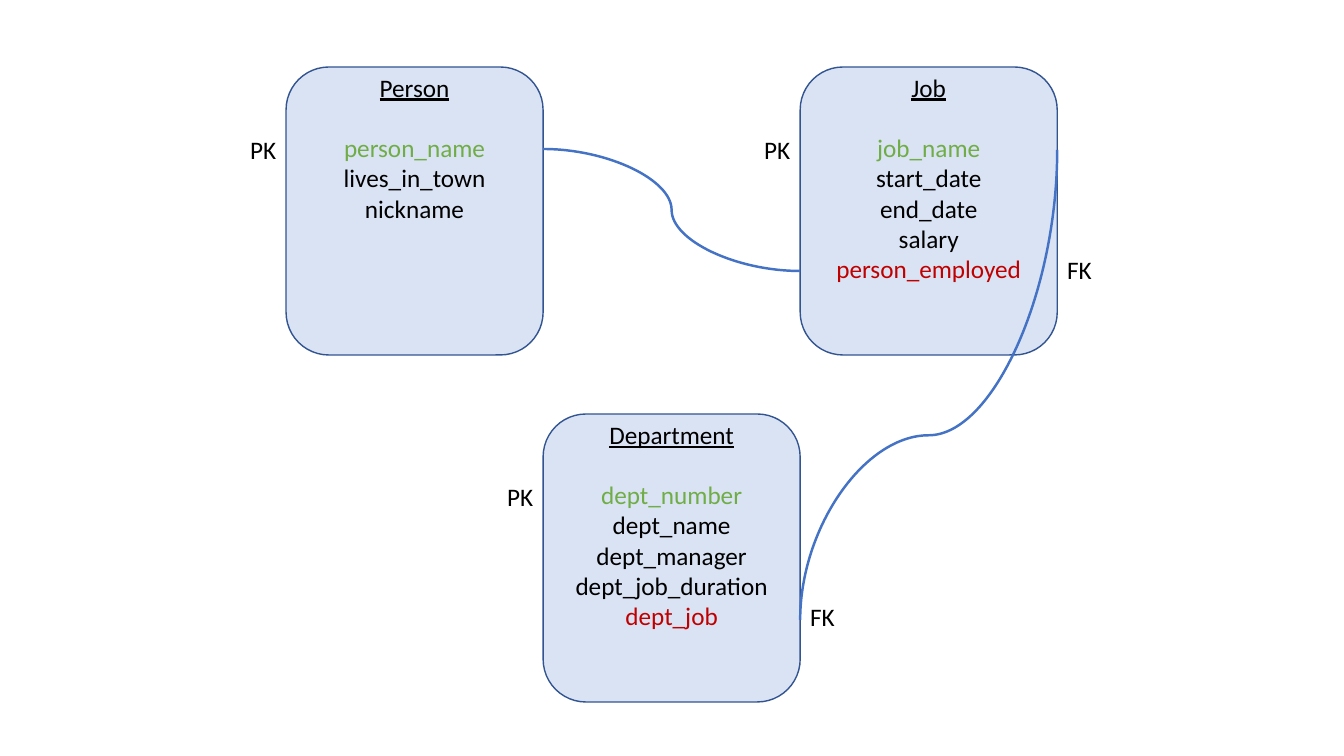
from lxml import etree
from pptx import Presentation
from pptx.dml.color import RGBColor
from pptx.enum.shapes import MSO_CONNECTOR, MSO_SHAPE
from pptx.enum.text import MSO_AUTO_SIZE, PP_ALIGN
from pptx.oxml.ns import qn
from pptx.util import Inches, Pt

ROUND = MSO_SHAPE.ROUNDED_RECTANGLE
CURVE = MSO_CONNECTOR.CURVE
FIT = MSO_AUTO_SIZE.SHAPE_TO_FIT_TEXT
CENTER = PP_ALIGN.CENTER
LEFT = PP_ALIGN.LEFT

SCALE = Inches(1) / 100.8
WIDE, HIGH = 257, 288
INSET = 10
TAG_WIDE, TAG_HIGH = 46, 40
PK_DROP, FK_DROP = 62, 182

BLACK, GREEN, RED = "000000", "70AD47", "C00000"
PALE, EDGE, BLUE = "DAE3F3", "325491", "4472C4"

CARDS = [
    (286, 67, 224, "Person", "person_name", ["lives_in_town", "nickname"], None),
    (543, 414, 254, "Department", "dept_number",
     ["dept_name", "dept_manager", "dept_job_duration"], "dept_job"),
    (800, 67, 285, "Job", "job_name",
     ["start_date", "end_date", "salary"], "person_employed"),
]


def px(*values):
    return [round(value * SCALE) for value in values]


def color(code):
    return RGBColor.from_string(code)


def add_text(slide, area, rows, align, wrap):
    frame = slide.shapes.add_textbox(*px(*area)).text_frame
    frame.text = "\n".join(text for text, tint in rows)
    frame.word_wrap = wrap
    frame.auto_size = FIT
    for line, (text, tint) in zip(frame.paragraphs, rows):
        line.alignment = align
        font = line.runs[0].font
        font.name = "Calibri"
        font.size = Pt(18)
        font.color.rgb = color(tint)
    return frame


def add_tag(slide, left, top, text):
    area = (left, top, TAG_WIDE, TAG_HIGH)
    add_text(slide, area, [(text, BLACK)], LEFT, False)


def add_card(slide, left, top, high, title, key, fields, link):
    box = slide.shapes.add_shape(ROUND, *px(left, top, WIDE, HIGH))
    box.shadow.inherit = False
    box.fill.solid()
    box.fill.fore_color.rgb = color(PALE)
    box.line.color.rgb = color(EDGE)
    box.line.width = Pt(1)

    rows = [(title, BLACK), (key, GREEN)]
    rows += [(field, BLACK) for field in fields]
    if link:
        rows.append((link, RED))
    area = (left + INSET, top, WIDE - 2 * INSET, high)
    head = add_text(slide, area, rows, CENTER, True).paragraphs[0]
    head.runs[0].font.underline = True
    head.space_after = Pt(21.6)

    add_tag(slide, left - TAG_WIDE, top + PK_DROP, "PK")
    if link:
        add_tag(slide, left + WIDE, top + FK_DROP, "FK")


def add_curve(slide, start, end):
    curve = slide.shapes.add_connector(CURVE, *px(*start, *end))
    curve.line.color.rgb = color(BLUE)
    curve.line.width = Pt(1.75)
    etree.SubElement(curve._element.spPr, qn("a:effectLst"))
    return curve


def add_rise(slide, start, end, bend):
    mid_x, mid_y = (start[0] + end[0]) / 2, (start[1] + end[1]) / 2
    half_x, half_y = (end[0] - start[0]) / 2, (start[1] - end[1]) / 2
    curve = add_curve(slide, (mid_x + half_y, mid_y + half_x),
                      (mid_x - half_y, mid_y - half_x))
    shape = curve._element.spPr
    shape.find(qn("a:xfrm")).set("rot", str(90 * 60000))
    guides = shape.find(qn("a:prstGeom")).find(qn("a:avLst"))
    etree.SubElement(guides, qn("a:gd"), name="adj1", fmla=f"val {bend}")


def main():
    deck = Presentation()
    deck.slide_width = Inches(13.33)
    deck.slide_height = Inches(7.5)
    slide = deck.slides.add_slide(deck.slide_layouts[6])
    for card in CARDS:
        add_card(slide, *card)
    add_curve(slide, (543, 149), (800, 271))
    add_rise(slide, (800, 620), (1057, 150), 39300)
    deck.save("out.pptx")


main()
